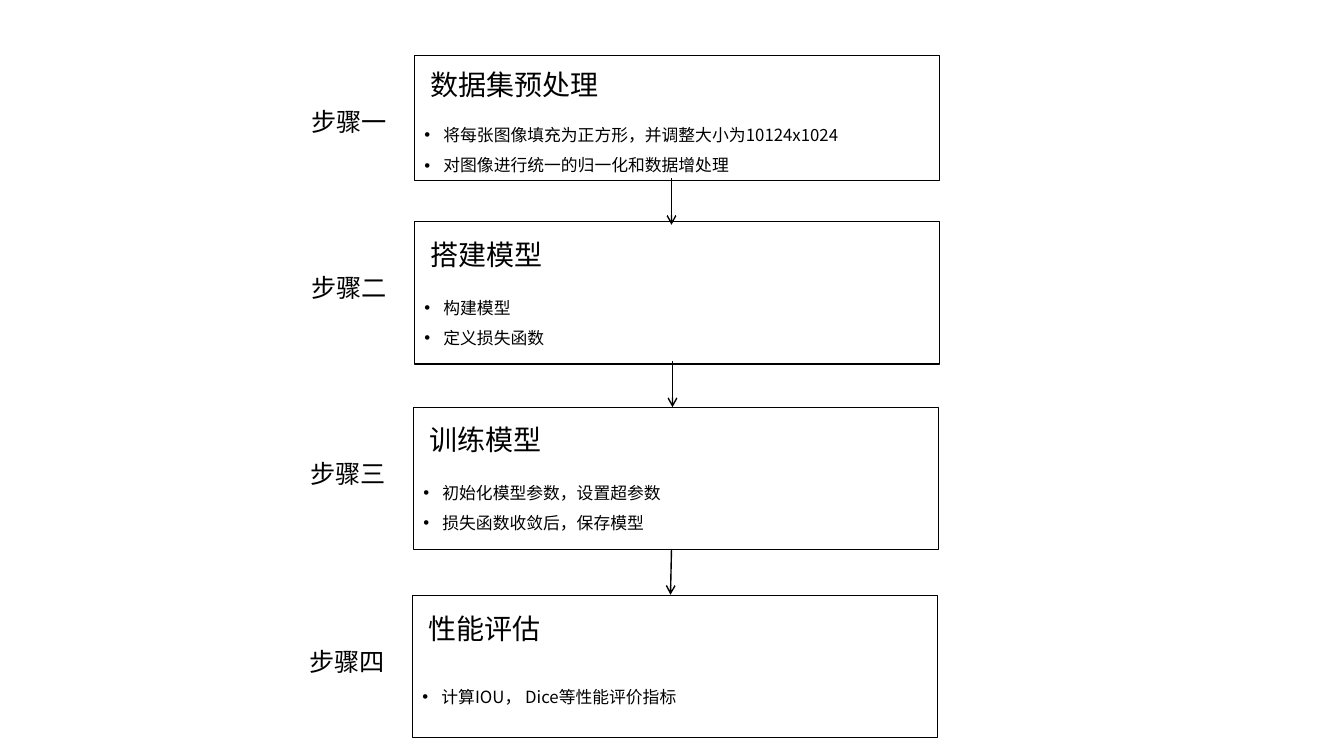
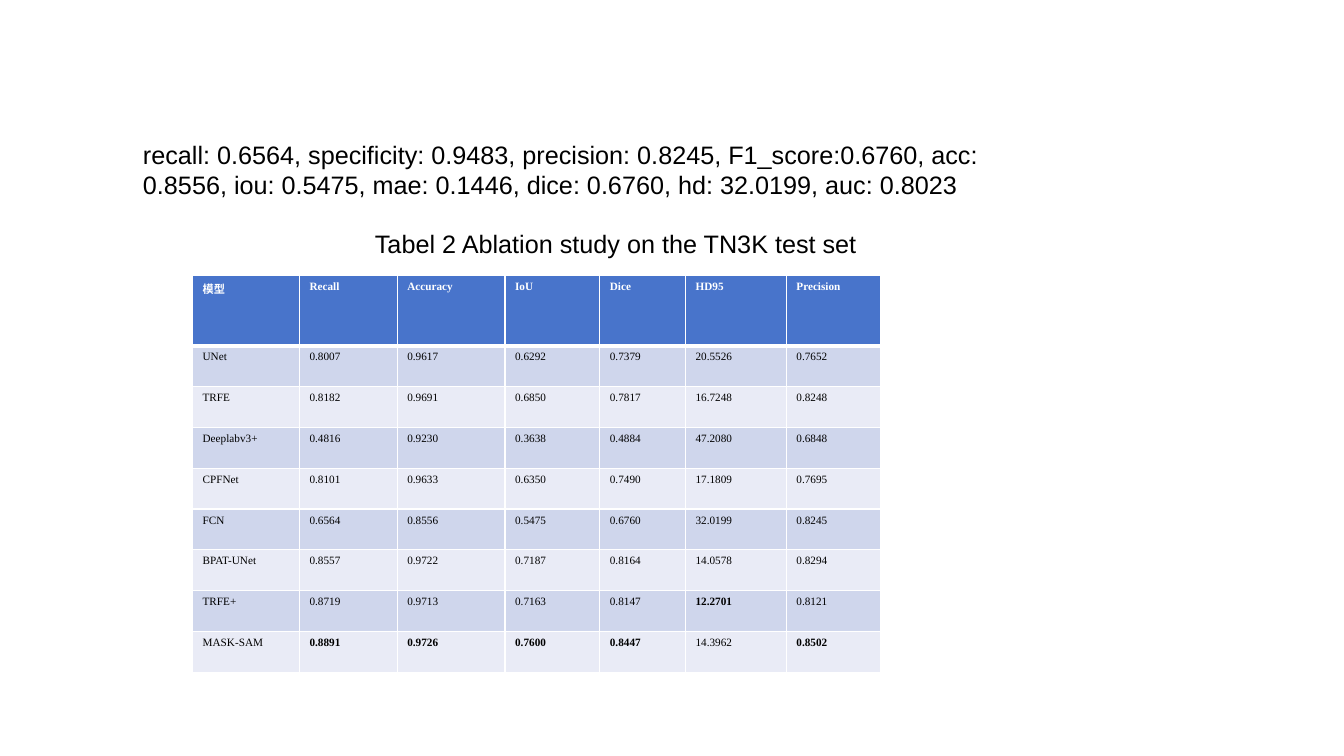
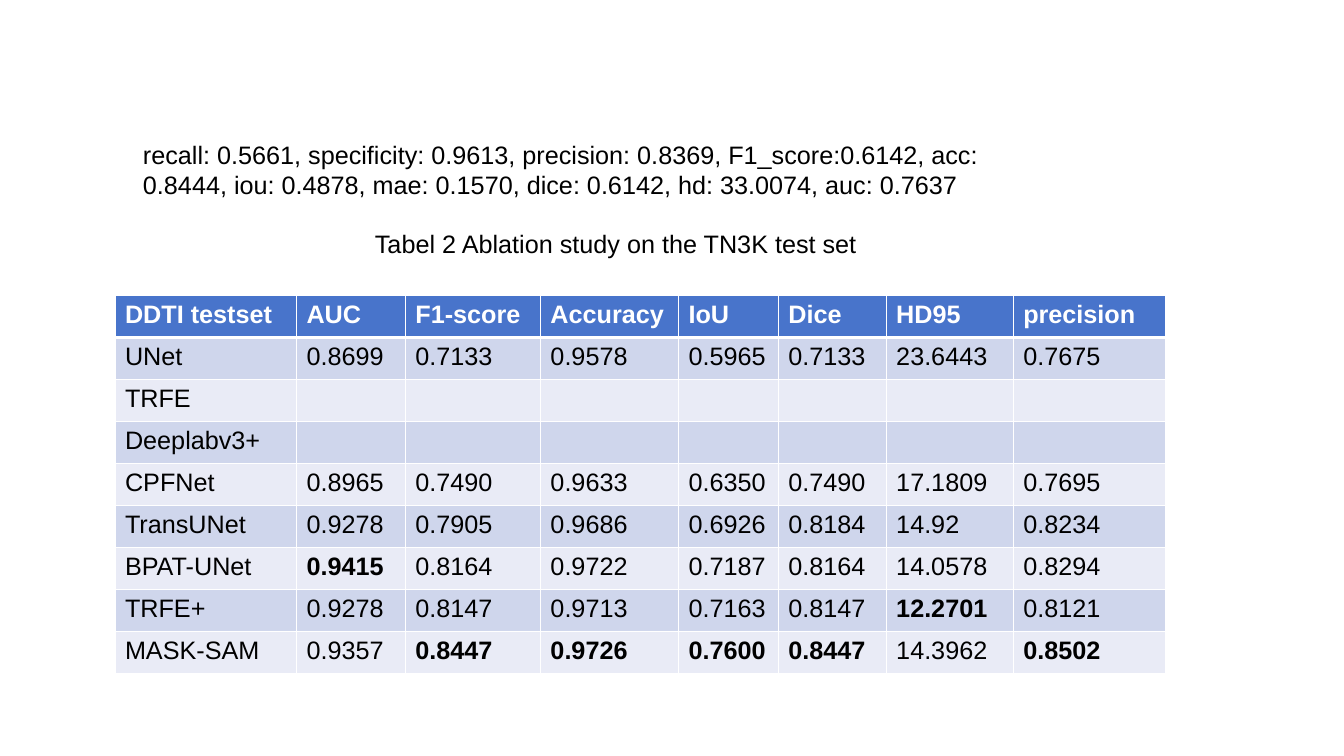
from lxml.etree import SubElement
from pptx import Presentation
from pptx.dml.color import RGBColor
from pptx.enum.shapes import MSO_CONNECTOR as Connector, MSO_SHAPE as Shape
from pptx.enum.text import MSO_ANCHOR as Anchor, PP_ALIGN as Align
from pptx.oxml.ns import qn
from pptx.util import Inches, Pt

COLORS = {
    "text": "000000",
    "white": "FFFFFF",
    "header": "4874CB",
    "band_dark": "CFD6EC",
    "band_light": "E9EBF6",
}
ARIAL, NOTO, TIMES = "Arial", "Noto Sans CJK SC", "Times New Roman"

# label, left, top, height, title height, title, bullets
STEPS = [
    ("步骤一", 4.11, 0.55, 1.24, 0.46, "数据集预处理",
     ["将每张图像填充为正方形，并调整大小为10124x1024", "对图像进行统一的归一化和数据增处理"]),
    ("步骤二", 4.11, 2.2, 1.41, 0.52, "搭建模型", ["构建模型", "定义损失函数"]),
    ("步骤三", 4.1, 4.04, 1.41, 0.52, "训练模型",
     ["初始化模型参数，设置超参数", "损失函数收敛后，保存模型"]),
    ("步骤四", 4.09, 5.91, 1.41, 0.52, "性能评估", ["计算IOU， Dice等性能评价指标"]),
]
ARROWS = [
    ((6.66, 1.77), (6.66, 2.23)),
    ((6.67, 3.58), (6.67, 4.04)),
    ((6.66, 5.45), (6.65, 5.9)),
]

TN3K_METRICS = (
    "recall: 0.6564, specificity: 0.9483, precision: 0.8245, F1_score:0.6760, acc: 0.8556, "
    "iou: 0.5475, mae: 0.1446, dice: 0.6760, hd: 32.0199, auc: 0.8023"
)
TN3K_ROWS = [
    ["模型", "Recall", "Accuracy", "IoU", "Dice", "HD95", "Precision"],
    ["UNet", "0.8007", "0.9617", "0.6292", "0.7379", "20.5526", "0.7652"],
    ["TRFE", "0.8182", "0.9691", "0.6850", "0.7817", "16.7248", "0.8248"],
    ["Deeplabv3+", "0.4816", "0.9230", "0.3638", "0.4884", "47.2080", "0.6848"],
    ["CPFNet", "0.8101", "0.9633", "0.6350", "0.7490", "17.1809", "0.7695"],
    ["FCN", "0.6564", "0.8556", "0.5475", "0.6760", "32.0199", "0.8245"],
    ["BPAT-UNet", "0.8557", "0.9722", "0.7187", "0.8164", "14.0578", "0.8294"],
    ["TRFE+", "0.8719", "0.9713", "0.7163", "0.8147", "12.2701", "0.8121"],
    ["MASK-SAM", "0.8891", "0.9726", "0.7600", "0.8447", "14.3962", "0.8502"],
]

DDTI_METRICS = (
    "recall: 0.5661, specificity: 0.9613, precision: 0.8369, F1_score:0.6142, acc: 0.8444, "
    "iou: 0.4878, mae: 0.1570, dice: 0.6142, hd: 33.0074, auc: 0.7637"
)
DDTI_ROWS = [
    ["DDTI testset", "AUC", "F1-score", "Accuracy", "IoU", "Dice", "HD95", "precision"],
    ["UNet", "0.8699", "0.7133", "0.9578", "0.5965", "0.7133", "23.6443", "0.7675"],
    ["TRFE"] + [""] * 7,
    ["Deeplabv3+"] + [""] * 7,
    ["CPFNet", "0.8965", "0.7490", "0.9633", "0.6350", "0.7490", "17.1809", "0.7695"],
    ["TransUNet", "0.9278", "0.7905", "0.9686", "0.6926", "0.8184", "14.92", "0.8234"],
    ["BPAT-UNet", "0.9415", "0.8164", "0.9722", "0.7187", "0.8164", "14.0578", "0.8294"],
    ["TRFE+", "0.9278", "0.8147", "0.9713", "0.7163", "0.8147", "12.2701", "0.8121"],
    ["MASK-SAM", "0.9357", "0.8447", "0.9726", "0.7600", "0.8447", "14.3962", "0.8502"],
]


def color(name):
    return RGBColor.from_string(COLORS[name])


def best_values(rows):
    """Give the best value of each metric column: lowest for HD95, else highest."""
    best = {}
    for index, name in enumerate(rows[0][1:], start=1):
        values = [row[index] for row in rows[1:] if row[index]]
        best[index] = (min if name == "HD95" else max)(values, key=float)
    return best


class Deck:
    def __init__(self):
        self.presentation = Presentation()
        self.presentation.slide_width = Inches(13.33)
        self.presentation.slide_height = Inches(7.5)
        self.slide = None

    def new_slide(self):
        self.slide = self.presentation.slides.add_slide(self.presentation.slide_layouts[6])

    def style(self, paragraph, size, font=ARIAL, fill="text", bold=False):
        paragraph.font.size = Pt(size)
        paragraph.font.bold = bold
        paragraph.font.color.rgb = color(fill)
        paragraph.font.name = font
        properties = paragraph.font._element
        SubElement(properties, qn("a:ea"), typeface=NOTO)

    def text(self, box, lines, size, font=ARIAL, anchor=Anchor.TOP, align=None, bullets=False):
        shape = self.slide.shapes.add_textbox(*map(Inches, box))
        frame = shape.text_frame
        frame.word_wrap = True
        frame.vertical_anchor = anchor
        frame.text = "\n".join(lines)
        for paragraph in frame.paragraphs:
            paragraph.alignment = align
            if bullets:
                self.bullet(paragraph)
            self.style(paragraph, size, font)

    def bullet(self, paragraph):
        paragraph.line_spacing = 1.5
        properties = paragraph._p.get_or_add_pPr()
        indent = Inches(0.19)
        properties.set("marL", str(indent))
        properties.set("indent", str(-indent))
        SubElement(properties, qn("a:buFont"), typeface=ARIAL)
        SubElement(properties, qn("a:buChar"), char="•")

    def outline(self, box):
        shape = self.slide.shapes.add_shape(Shape.RECTANGLE, *map(Inches, box))
        shape.shadow.inherit = False
        shape.fill.background()
        shape.line.color.rgb = color("text")
        shape.line.width = Pt(1)

    def arrow(self, start, end):
        connector = self.slide.shapes.add_connector(
            Connector.STRAIGHT, *map(Inches, (*start, *end)))
        connector.line.color.rgb = color("text")
        connector.line.width = Pt(1)
        SubElement(connector.line._get_or_add_ln(), qn("a:tailEnd"), type="arrow")
        SubElement(connector._element.spPr, qn("a:effectLst"))

    def step(self, label, left, top, height, title_height, title, bullets):
        self.text((left - 1.19, top + 0.37, 1.09, 0.57), [label], 18,
                  anchor=Anchor.MIDDLE, align=Align.CENTER)
        self.outline((left, top, 5.21, height))
        self.text((left + 0.06, top + 0.06, 2.78, title_height), [title], 20, NOTO, Anchor.MIDDLE)
        self.text((left, top + 0.06 + title_height, 5, 0.74), bullets, 12, NOTO,
                  Anchor.MIDDLE, bullets=True)

    def borders(self, cell, top, bottom):
        properties = cell._tc.get_or_add_tcPr()
        for side, width in (("L", 1), ("R", 1), ("T", top), ("B", bottom)):
            line = SubElement(properties, qn(f"a:ln{side}"), w=str(Pt(width)))
            fill = SubElement(line, qn("a:solidFill"))
            SubElement(fill, qn("a:srgbClr"), val=COLORS["white"])

    def table(self, left, top, height, header_height, widths, rows, size, font):
        table = self.slide.shapes.add_table(
            len(rows), len(widths), *map(Inches, (left, top, sum(widths), height))).table
        for column, width in zip(table.columns, widths):
            column.width = Inches(width)
        row_height = (height - header_height) / (len(rows) - 1)
        best = best_values(rows)
        for i, values in enumerate(rows):
            header = i == 0
            table.rows[i].height = Inches(header_height if header else row_height)
            band = "header" if header else ("band_light", "band_dark")[i % 2]
            for j, value in enumerate(values):
                cell = table.cell(i, j)
                self.borders(cell, 3 if i == 1 else 1, 3 if header else 1)
                cell.fill.solid()
                cell.fill.fore_color.rgb = color(band)
                cell.text = value
                bold = header or value == best.get(j)
                self.style(cell.text_frame.paragraphs[0], size, font,
                           "white" if header else "text", bold)

    def results(self, metrics, **table):
        """Add a slide with a metrics line, a caption and a table."""
        self.new_slide()
        self.text((1.32, 1.33, 8.67, 0.71), [metrics], 18)
        self.text((3.62, 2.22, 5.49, 0.4), ["Tabel 2 Ablation study on the TN3K test set"], 18)
        self.table(**table)


def main():
    deck = Deck()
    deck.new_slide()
    for step in STEPS:
        deck.step(*step)
    for start, end in ARROWS:
        deck.arrow(start, end)

    deck.results(TN3K_METRICS, left=1.91, top=2.73, height=3.94, header_height=0.7,
                 widths=[1.06, 0.97, 1.07, 0.94, 0.85, 1, 0.94],
                 rows=TN3K_ROWS, size=8, font=TIMES)
    deck.results(DDTI_METRICS, left=1.14, top=2.93, height=3.75, header_height=0.42,
                 widths=[1.8, 1.08, 1.34, 1.37, 0.99, 1.07, 1.26, 1.51],
                 rows=DDTI_ROWS, size=18, font=ARIAL)
    deck.presentation.save("out.pptx")


if __name__ == "__main__":
    main()
